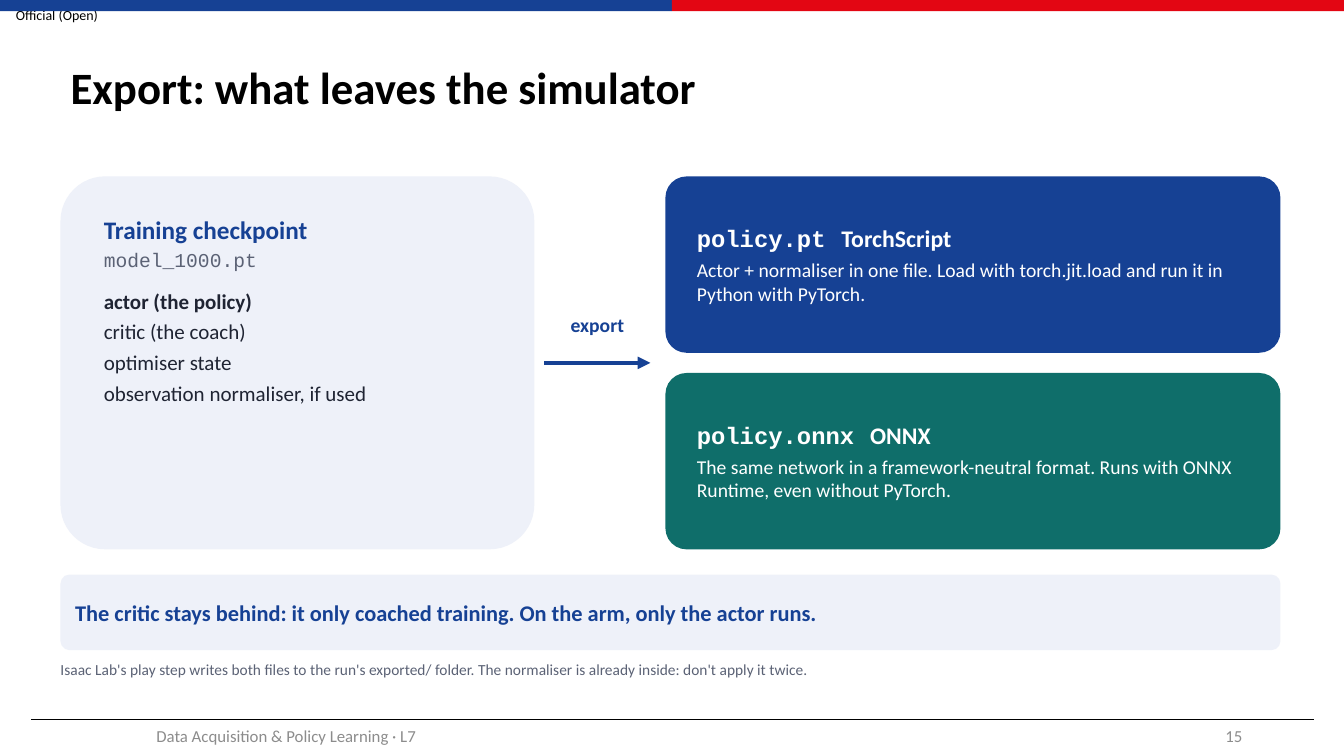
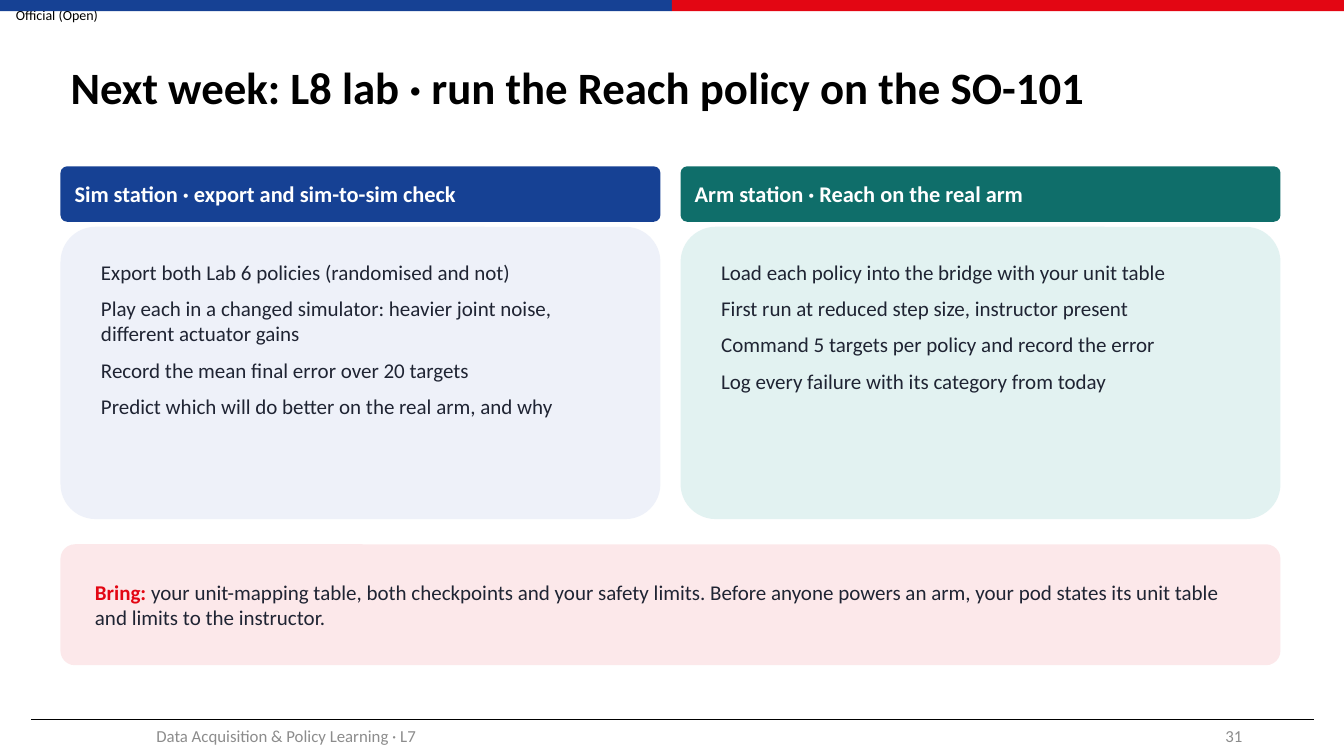
import lxml.etree
import pptx
import pptx.dml.color
import pptx.enum.shapes
import pptx.enum.text
import pptx.oxml.ns
import pptx.util

Inches, Pt = pptx.util.Inches, pptx.util.Pt
RGB = pptx.dml.color.RGBColor
Shape = pptx.enum.shapes.MSO_SHAPE
Anchor = pptx.enum.text.MSO_ANCHOR
Align = pptx.enum.text.PP_ALIGN
qn = pptx.oxml.ns.qn

BLUE = RGB(0x16, 0x41, 0x94)
RED = RGB(0xE3, 0x06, 0x13)
TEAL = RGB(0x0F, 0x6E, 0x6A)
PALE_BLUE = RGB(0xEE, 0xF1, 0xF9)
PALE_TEAL = RGB(0xE2, 0xF2, 0xF1)
PALE_RED = RGB(0xFC, 0xE8, 0xEA)
INK = RGB(0x1F, 0x24, 0x33)
SLATE = RGB(0x5B, 0x62, 0x75)
GREY = RGB(0x8C, 0x8C, 0x8C)
BLACK = RGB(0, 0, 0)
WHITE = RGB(0xFF, 0xFF, 0xFF)
SANS, MONO = "Calibri", "Courier New"

# Page grid, in inches
WIDTH, HEIGHT = 13.33, 7.5
LEFT, CONTENT, GAP = 0.6, 12.1, 0.2
RIGHT = LEFT + CONTENT
COLUMN = (CONTENT - GAP) / 2


def add_box(page, left, top, width, height, fill=None, margins=(0, 0),
            anchor=Anchor.TOP, outline=Shape.ROUNDED_RECTANGLE):
    """Add a filled shape, or a plain text box when there is no fill."""
    place = [Inches(value) for value in (left, top, width, height)]
    if fill is None:
        box = page.shapes.add_textbox(*place)
    else:
        box = page.shapes.add_shape(outline, *place)
        box.shadow.inherit = False
        box.fill.solid()
        box.fill.fore_color.rgb = fill
        box.line.fill.background()
        if outline == Shape.ROUNDED_RECTANGLE:
            box.adjustments[0] = 0.12
    frame = box.text_frame
    frame.word_wrap = True
    frame.vertical_anchor = anchor
    frame.margin_left = frame.margin_right = Inches(margins[0])
    frame.margin_top = frame.margin_bottom = Inches(margins[1])
    return box


def add_text(box, text, size, color, bold=False, font=SANS, after=0, align=Align.LEFT):
    """Fill the first empty paragraph or append one; return it."""
    frame = box.text_frame
    para = frame.add_paragraph() if frame.text else frame.paragraphs[0]
    para.add_run().text = text
    para.alignment = align
    para.space_after = Pt(after)
    para.font.name = font
    para.font.size = Pt(size)
    para.font.bold = bold
    para.font.color.rgb = color
    return para


deck = pptx.Presentation()
deck.slide_width, deck.slide_height = Inches(WIDTH), Inches(HEIGHT)
layout = deck.slide_layouts.get_by_name("Title Only")
for holder in list(layout.placeholders):
    if holder.placeholder_format.type != pptx.enum.shapes.PP_PLACEHOLDER.TITLE:
        holder.element.getparent().remove(holder.element)

# Title and footer of every page
pages = []
for title, number in (("Export: what leaves the simulator", "15"),
                      ("Next week: L8 lab · run the Reach policy on the SO-101", "31")):
    page = deck.slides.add_slide(layout)
    pages.append(page)
    heading = page.shapes.title
    heading.left, heading.top = Inches(LEFT), Inches(0.3)
    heading.width, heading.height = Inches(12.08), Inches(1.18)
    heading.text_frame.vertical_anchor = Anchor.MIDDLE
    add_text(heading, title, 32, BLACK, bold=True).line_spacing = 0.9
    for left, width, text, align in (
            (0.59, 4.5, "Data Acquisition & Policy Learning · L7", Align.CENTER),
            (9.42, 3, number, Align.RIGHT)):
        footer = add_box(page, left, 7.1, width, 0.4, margins=(0.1, 0.05), anchor=Anchor.MIDDLE)
        add_text(footer, text, 12, GREY, align=align)
export_page, lab_page = pages

# Marking, bands and footer rule belong to the layout
marking = add_box(export_page, 0, 0, 1.13, 0.29, anchor=Anchor.MIDDLE)
add_text(marking, "Official (Open)", 10, BLACK, align=Align.CENTER)
bands = [add_box(export_page, side * WIDTH / 2, 0, WIDTH / 2, 0.11, color, outline=Shape.RECTANGLE)
         for side, color in enumerate((BLUE, RED))]
lines = []
for start, end, height, color, weight in ((0.31, 13.03, 7.14, BLACK, 0.5),
                                          (5.4, 6.45, 3.6, BLUE, 3)):
    line = export_page.shapes.add_connector(
        pptx.enum.shapes.MSO_CONNECTOR.STRAIGHT,
        Inches(start), Inches(height), Inches(end), Inches(height))
    line.line.color.rgb = color
    line.line.width = Pt(weight)
    lxml.etree.SubElement(line.element.spPr, qn("a:effectLst"))
    lines.append(line)
footer_rule, export_arrow = lines
for shape in (marking, *bands, footer_rule):
    layout.shapes.element.append(shape.element)
lxml.etree.SubElement(export_arrow.line._get_or_add_ln(), qn("a:tailEnd"), type="triangle")

# Page 1: checkpoint, export arrow, two exported files
TOP, FILE_HEIGHT, FILE_WIDTH = 1.75, 1.75, 6.1
checkpoint = add_box(export_page, LEFT, TOP, 4.7, 2 * FILE_HEIGHT + GAP, PALE_BLUE, (0.3, 0.25))
add_text(checkpoint, "Training checkpoint", 18, BLUE, bold=True, after=2)
add_text(checkpoint, "model_1000.pt", 14, SLATE, font=MONO, after=12)
add_text(checkpoint, "actor (the policy)", 15, INK, bold=True, after=4)
for part in ("critic (the coach)", "optimiser state", "observation normaliser, if used"):
    add_text(checkpoint, part, 15, INK, after=4)

export_label = add_box(export_page, 5.35, 3.1, 1.15, 0.4)
add_text(export_label, "export", 14, BLUE, bold=True, align=Align.CENTER)

files = (
    ("policy.pt", "TorchScript", BLUE,
     "Actor + normaliser in one file. Load with torch.jit.load and run it in Python with PyTorch."),
    ("policy.onnx", "ONNX", TEAL,
     "The same network in a framework-neutral format. Runs with ONNX Runtime, even without PyTorch."),
)
for row, (name, file_format, color, description) in enumerate(files):
    card = add_box(export_page, RIGHT - FILE_WIDTH, TOP + row * (FILE_HEIGHT + GAP),
                   FILE_WIDTH, FILE_HEIGHT, color, (0.25, 0.1), Anchor.MIDDLE)
    para = add_text(card, name, 17, WHITE, bold=True, after=4)
    para.runs[0].font.name = MONO
    para.add_run().text = "\t" + file_format
    # A monospaced letter is 0.6 em wide; the tab leaves a gap after the name
    tab_list = lxml.etree.Element(qn("a:tabLst"))
    lxml.etree.SubElement(tab_list, qn("a:tab"), algn="l",
                          pos=str(Pt(0.6 * 17 * len(name) + 11.5)))
    para._p.pPr.find(qn("a:defRPr")).addprevious(tab_list)
    add_text(card, description, 14, WHITE)

takeaway = add_box(export_page, LEFT, 5.7, CONTENT, 0.75, PALE_BLUE, (0.12, 0.06), Anchor.MIDDLE)
add_text(takeaway, "The critic stays behind: it only coached training. On the arm, only the actor runs.",
         16, BLUE, bold=True)
remark = add_box(export_page, LEFT, 6.55, CONTENT, 0.3)
add_text(remark, "Isaac Lab's play step writes both files to the run's exported/ folder. "
         "The normaliser is already inside: don't apply it twice.", 11, SLATE)

# Page 2: two stations and what to bring
stations = (
    ("Sim station · export and sim-to-sim check", BLUE, PALE_BLUE,
     ("Export both Lab 6 policies (randomised and not)",
      "Play each in a changed simulator: heavier joint noise, different actuator gains",
      "Record the mean final error over 20 targets",
      "Predict which will do better on the real arm, and why")),
    ("Arm station · Reach on the real arm", TEAL, PALE_TEAL,
     ("Load each policy into the bridge with your unit table",
      "First run at reduced step size, instructor present",
      "Command 5 targets per policy and record the error",
      "Log every failure with its category from today")),
)
for column, (station, color, tint, tasks) in enumerate(stations):
    left = LEFT + column * (COLUMN + GAP)
    header = add_box(lab_page, left, 1.65, COLUMN, 0.55, color, (0.12, 0.06), Anchor.MIDDLE)
    add_text(header, station, 16, WHITE, bold=True)
    panel = add_box(lab_page, left, 2.25, COLUMN, 2.9, tint, (0.3, 0.22))
    for task in tasks:
        add_text(panel, task, 15, INK, after=8)

bring = add_box(lab_page, LEFT, 5.4, CONTENT, 1.2, PALE_RED, (0.3, 0.1), Anchor.MIDDLE)
para = add_text(bring, "Bring: ", 15, INK)
para.runs[0].font.bold = True
para.runs[0].font.color.rgb = RED
para.add_run().text = ("your unit-mapping table, both checkpoints and your safety limits. Before anyone "
                       "powers an arm, your pod states its unit table and limits to the instructor.")

deck.save("out.pptx")
